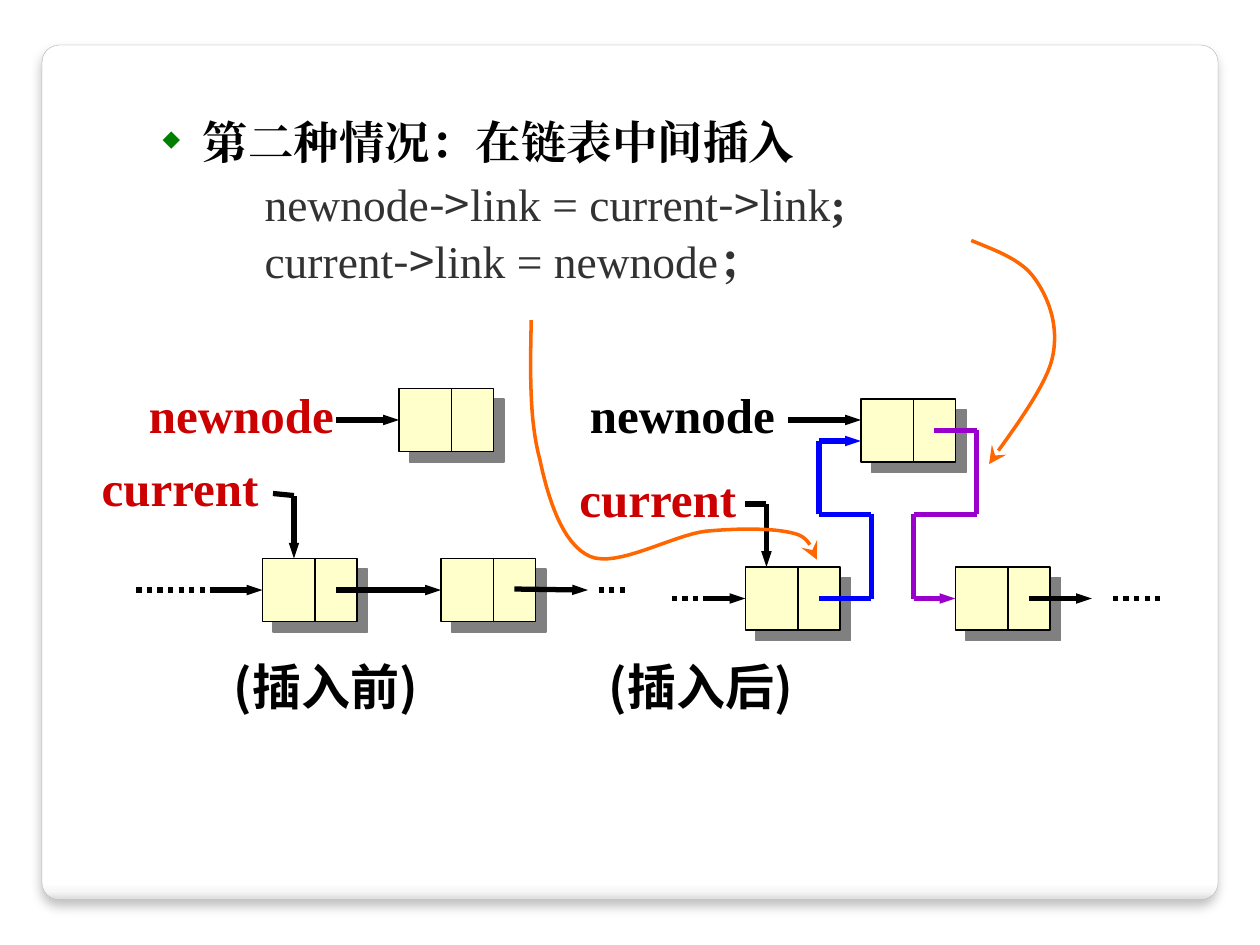
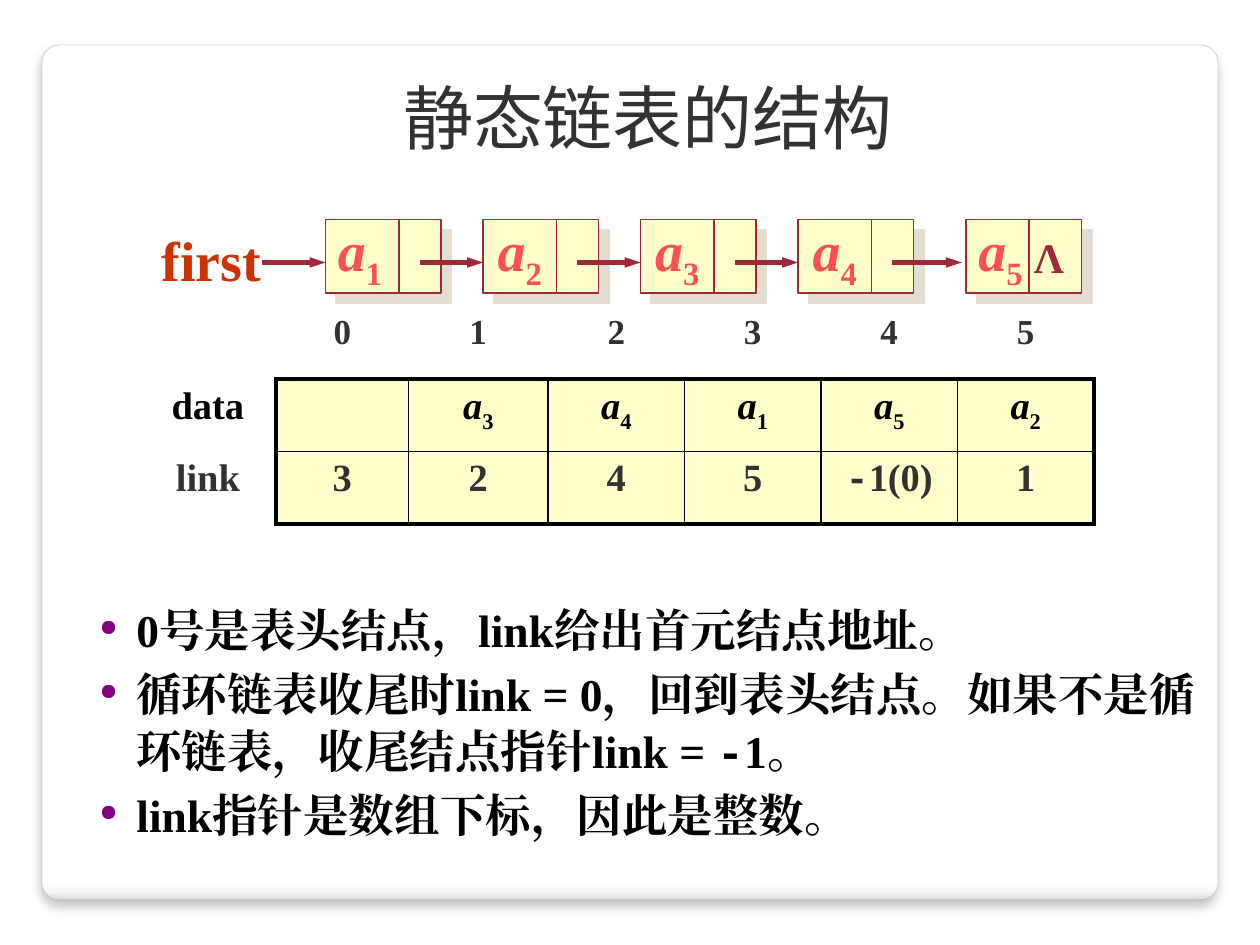
from dataclasses import dataclass
from typing import NamedTuple

from lxml import etree
from pptx import Presentation
from pptx.dml.color import RGBColor
from pptx.enum.dml import MSO_LINE
from pptx.enum.shapes import MSO_CONNECTOR, MSO_SHAPE
from pptx.enum.text import MSO_ANCHOR, PP_ALIGN
from pptx.oxml.ns import qn
from pptx.util import Emu, Pt

PX = 7620  # EMU in one px, 120 px to the inch

RECT, ROUND_RECT = MSO_SHAPE.RECTANGLE, MSO_SHAPE.ROUNDED_RECTANGLE
STRAIGHT = MSO_CONNECTOR.STRAIGHT
DOTTED = MSO_LINE.ROUND_DOT
LEFT, CENTER = PP_ALIGN.LEFT, PP_ALIGN.CENTER
TOP, BOTTOM = MSO_ANCHOR.TOP, MSO_ANCHOR.BOTTOM
LEFT_SIDE = 1

BLACK = RGBColor(0x00, 0x00, 0x00)
INK = RGBColor(0x32, 0x32, 0x32)
RED = RGBColor(0xCC, 0x00, 0x00)
RUST = RGBColor(0xCC, 0x33, 0x00)
CORAL = RGBColor(0xFF, 0x50, 0x50)
MAROON = RGBColor(0x9F, 0x29, 0x36)
BLUE = RGBColor(0x00, 0x00, 0xFF)
VIOLET = RGBColor(0x99, 0x00, 0xCC)
PURPLE = RGBColor(0x80, 0x00, 0x80)
ORANGE = RGBColor(0xFF, 0x66, 0x00)
GREEN = RGBColor(0x00, 0x80, 0x00)
GRAY = RGBColor(0x80, 0x80, 0x80)
BEIGE = RGBColor(0xE3, 0xDE, 0xD1)
CREAM = RGBColor(0xFF, 0xFF, 0xCC)
EDGE = RGBColor(0xA4, 0xA4, 0xA4)
PANEL_STOPS = ((0, "FFFFFF"), (98, "FFFFFF"), (99, "F7F7F7"), (100, "DADADA"))

SERIF, SANS = "Times New Roman", "DejaVu Sans"
CJK, MONO = "Noto Sans CJK SC", "Courier New"
BODY_LINE = Pt(32.6)


class Run(NamedTuple):
    text: str
    style: dict = {}


@dataclass
class Para:
    runs: list
    bullet: str = ""
    bullet_color: RGBColor = BLACK
    margin: int = 0
    indent: int = 0
    before: float = 0


@dataclass
class Node:
    x: int
    y: int
    w: int
    h: int
    split: int


def px(n: float) -> Emu:
    return Emu(round(n * PX))


def child(parent, tag: str, **attrs):
    return etree.SubElement(parent, qn(tag), {k: str(v) for k, v in attrs.items()})


# ---- text ----
def add_run(p, text: str, *, size: float, color=BLACK, font=SERIF, bold=False,
            italic=False, sub=False) -> None:
    r = p.add_run()
    r.text = text
    f = r.font
    f.size, f.bold, f.italic, f.name = Pt(size), bold, italic, font
    f.color.rgb = color
    rPr = r._r.get_or_add_rPr()
    child(rPr, "a:ea", typeface=font)
    if sub:
        rPr.set("baseline", "-25000")


def add_runs(p, runs: list, **style) -> None:
    for run in runs:
        add_run(p, run.text, **{**style, **run.style})


def add_box(slide, x, y, w, h, *, wrap=False, anchor=TOP, insets=(12, 6, 12, 6)):
    tf = slide.shapes.add_textbox(px(x), px(y), px(w), px(h)).text_frame
    tf.word_wrap, tf.vertical_anchor = wrap, anchor
    tf.margin_left, tf.margin_top, tf.margin_right, tf.margin_bottom = map(px, insets)
    return tf


def add_label(slide, x, y, w, h, runs: list, *, align=LEFT, anchor=TOP, **style) -> None:
    p = add_box(slide, x, y, w, h, anchor=anchor).paragraphs[0]
    p.alignment = align
    add_runs(p, runs, **style)


def add_body(slide, x, y, w, h, paras: list) -> None:
    tf = add_box(slide, x, y, w, h, wrap=True, insets=(24, 12, 12, 6))
    for i, para in enumerate(paras):
        p = tf.add_paragraph() if i else tf.paragraphs[0]
        pPr = p._p.get_or_add_pPr()
        pPr.set("marL", str(px(para.margin)))
        pPr.set("indent", str(px(para.indent)))
        if para.bullet:
            child(child(pPr, "a:buClr"), "a:srgbClr", val=para.bullet_color)
            child(pPr, "a:buSzPct", val=50000)
            child(pPr, "a:buChar", char=para.bullet)
        p.line_spacing = BODY_LINE
        if para.before:
            p.space_before = Pt(para.before)
        add_runs(p, para.runs, size=26, bold=True)


def indexed(n: str) -> list:
    return [Run("a", {"italic": True}), Run(n, {"sub": True})]


# ---- shapes and lines ----
def add_shadow(sp, color, alpha: int, blur: float, dist: float, angle: int) -> None:
    sp.shadow.inherit = False
    effects = sp._element.spPr.find(qn("a:effectLst"))
    shadow = child(effects, "a:outerShdw", blurRad=Pt(blur), dist=Pt(dist),
                   dir=angle * 60000, algn="ctr", rotWithShape=0)
    child(child(shadow, "a:srgbClr", val=color), "a:alpha", val=alpha * 1000)


def add_head(shape, kind: str, w: str, length: str) -> None:
    child(shape.line._get_or_add_ln(), "a:tailEnd", type=kind, w=w, len=length)


def add_line(slide, start, end, *, color=BLACK, width=3.0, arrow=False, dotted=False,
             end_to=None) -> None:
    c = slide.shapes.add_connector(STRAIGHT, *map(px, (*start, *end)))
    c.line.color.rgb, c.line.width = color, Pt(width)
    if dotted:
        c.line.dash_style = DOTTED
    if arrow:
        add_head(c, "triangle", "sm", "med")
    child(c._element.spPr, "a:effectLst")
    if end_to is not None:
        c.end_connect(end_to, LEFT_SIDE)


def add_route(slide, points: list, *, color=BLACK, end_to=None) -> None:
    last = len(points) - 2
    for i, (start, end) in enumerate(zip(points, points[1:])):
        add_line(slide, start, end, color=color, arrow=i == last,
                 end_to=end_to if i == last else None)


def add_curve(slide, points: list, steps: int = 16) -> None:
    path = []
    for i in range(0, len(points) - 1, 3):
        for t in (k / steps for k in range(1, steps + 1)):
            weights = ((1 - t) ** 3, 3 * t * (1 - t) ** 2, 3 * t * t * (1 - t), t ** 3)
            path.append(tuple(px(sum(w * q[axis] for w, q in zip(weights, points[i:i + 4])))
                              for axis in (0, 1)))
    builder = slide.shapes.build_freeform(*map(px, points[0]))
    builder.add_line_segments(path, close=False)
    sp = builder.convert_to_shape()
    sp.shadow.inherit = False
    sp.fill.background()
    sp.line.color.rgb, sp.line.width = ORANGE, Pt(2)
    add_head(sp, "stealth", "lg", "lg")


def add_node(slide, node: Node, color=BLACK, shadow=GRAY):
    sp = slide.shapes.add_shape(RECT, px(node.x), px(node.y), px(node.w), px(node.h))
    sp.fill.solid()
    sp.fill.fore_color.rgb = CREAM
    sp.line.color.rgb, sp.line.width = color, Pt(0.75)
    add_shadow(sp, shadow, 100, 0, 8.5, 45)
    x = node.x + node.split
    add_line(slide, (x, node.y), (x, node.y + node.h), color=color, width=0.75)
    return sp


def new_slide(prs):
    slide = prs.slides.add_slide(prs.slide_layouts[6])
    sp = slide.shapes.add_shape(ROUND_RECT, px(40), px(43), px(1120), px(814))
    sp.adjustments[0] = 0.02
    sp.fill.gradient()
    sp.fill.gradient_angle = 270
    stops = sp._element.spPr.find(".//" + qn("a:gsLst"))
    stops.clear()
    for pos, color in PANEL_STOPS:
        child(child(stops, "a:gs", pos=pos * 1000), "a:srgbClr", val=color)
    sp.line.color.rgb, sp.line.width = EDGE, Pt(0.16)
    add_shadow(sp, BLACK, 25, 6, 4, 90)
    return slide


# ---- slide 1: insertion in the middle ----
def build_insertion(prs) -> None:
    slide = new_slide(prs)
    plain = {"color": INK, "bold": False}
    arrow = Run("->", {**plain, "font": CJK})
    add_body(slide, 85, 94, 1130, 710, [
        Para([Run("第二种情况：在链表中间插入")], "◆", GREEN, 84, -38),
        Para([Run("newnode", plain), arrow, Run("link = current", plain), arrow,
              Run("link", plain), Run(";", {"color": INK})], margin=143, before=3),
        Para([Run("current", plain), arrow, Run("link = newnode", plain),
              Run("；", {"color": INK})], margin=143),
    ])
    for x, text in ((211, "(插入前)"), (568, "(插入后)")):
        add_label(slide, x, 619, 230, 71, [Run(text)], size=28, font=CJK, bold=True,)

    # nodes before, then after
    fresh, first, second, fresh_after, first_after, second_after = (
        add_node(slide, Node(x, y, 90, 60, 50)) for x, y in
        ((380, 370), (250, 532), (420, 532), (820, 380), (710, 540), (910, 540)))
    for x, y, w, text, color in ((130, 360, 200, "newnode", RED), (85, 430, 174, "current", RED),
                                 (550, 360, 200, "newnode", BLACK),
                                 (540, 440, 174, "current", RED)):
        add_label(slide, x, y, w, 68, [Run(text)], size=28, color=color, bold=True)

    # pointers
    for start, end, target in (
            ((320, 400), (380, 400), fresh), ((200, 562), (250, 562), first),
            ((320, 562), (420, 562), second), ((490, 561), (560, 562), None),
            ((980, 570), (1040, 570), None), ((750, 400), (820, 400), None),
            ((670, 570), (710, 570), first_after)):
        add_line(slide, start, end, arrow=True, end_to=target)
    for x1, x2, y in ((570, 600, 562), (130, 200, 562), (1060, 1110, 570), (640, 670, 570)):
        add_line(slide, (x1, y), (x2, y), dotted=True)
    add_route(slide, [(260, 470), (280, 472), (280, 532)])
    add_route(slide, [(710, 480), (730, 480), (730, 540)])
    add_route(slide, [(890, 410), (930, 410), (930, 490), (870, 490), (870, 570), (910, 570)],
              color=VIOLET, end_to=second_after)
    add_route(slide, [(780, 570), (830, 570), (830, 490), (780, 490), (780, 420), (820, 420)],
              color=BLUE)

    # links from each statement to its pointer
    add_curve(slide, [(925, 229), (949, 239), (973, 247), (986, 266), (1000, 286),
                      (1009, 313), (1002, 342), (995, 372), (953, 425), (942, 442)])
    add_curve(slide, [(506, 305), (505, 352), (504, 400), (514, 437), (522, 474), (535, 518),
                      (562, 530), (588, 541), (640, 510), (672, 506), (704, 503), (738, 503),
                      (756, 508), (774, 512), (774, 529), (778, 533)])


# ---- slide 2: static linked list ----
def set_borders(cell, widths: dict) -> None:
    tcPr = cell._tc.get_or_add_tcPr()
    for i, (side, width) in enumerate(widths.items()):
        ln = etree.Element(qn("a:ln" + side), w=str(Pt(width)))
        if width:
            child(child(ln, "a:solidFill"), "a:srgbClr", val=BLACK)
        else:
            child(ln, "a:noFill")
        tcPr.insert(i, ln)


def add_storage_table(slide) -> None:
    columns = (130, 126, 133, 130, 130, 130, 130)
    rows = [
        [[]] + [[Run(str(n))] for n in range(6)],
        [[Run("data")], []] + [indexed(n) for n in "34152"],
        [[Run(t)] for t in ("link", "3", "2", "4", "5")]
        + [[Run("-", {"font": MONO}), Run("1(0)")], [Run("1")]],
    ]
    styles = ((20, INK), (22, BLACK), (22, INK))
    table = slide.shapes.add_table(3, 7, px(133), px(292), px(909), px(207)).table
    table.first_row = table.horz_banding = False
    for j, w in enumerate(columns):
        table.columns[j].width = px(w)

    def across(i: int, j: int) -> float:
        return (0, 2.25, 1, 2.25)[i] if j else 0

    def down(i: int, j: int) -> float:
        return (0, 2.25, 1, 1, 1, 1, 1, 2.25)[j] if i else 0

    for i, (row, (size, color)) in enumerate(zip(rows, styles)):
        table.rows[i].height = px(69)
        for j, runs in enumerate(row):
            cell = table.cell(i, j)
            if i and j:
                cell.fill.solid()
                cell.fill.fore_color.rgb = CREAM
            else:
                cell.fill.background()
            set_borders(cell, {"L": down(i, j), "R": down(i, j + 1),
                               "T": across(i, j), "B": across(i + 1, j)})
            p = cell.text_frame.paragraphs[0]
            p.alignment = CENTER
            add_runs(p, runs, size=size, color=color, bold=True)


def build_static_list(prs) -> None:
    slide = new_slide(prs)
    add_label(slide, 80, 53, 1074, 104, [Run("静态链表的结构")], align=CENTER, anchor=BOTTOM,
              size=40, color=INK, font=SANS)
    bullet = {"bullet": "●", "bullet_color": PURPLE, "margin": 35, "indent": -35}
    add_body(slide, 71, 559, 1080, 307, [
        Para([Run("0号是表头结点，link给出首元结点地址。")], **bullet),
        Para([Run("循环链表收尾时link = 0，回到表头结点。如果不是循环链表，收尾结点指针link = "),
              Run("-", {"font": MONO}), Run("1。")], before=4, **bullet),
        Para([Run("link指针是数组下标，因此是整数。")], before=4, **bullet),
    ])

    # chain of nodes
    nodes = [Node(x, 209, 110, 70, 70) for x in range(310, 761, 150)]
    nodes.append(Node(920, 209, 110, 70, 60))
    for node in nodes:
        add_node(slide, node, MAROON, BEIGE)
    for i, node in enumerate(nodes):
        tip = node.x if i < 4 else node.x - 4
        add_line(slide, (250 + 150 * i, 250), (tip, 250), color=MAROON, arrow=True)
        nudge = 2 if 0 < i < 4 else 0
        add_label(slide, node.x + nudge, 199, 68, 76, indexed(str(i + 1)), size=32,
                  color=CORAL, bold=True)
    add_label(slide, 973, 215, 65, 60, [Run("Λ")], size=24, color=MAROON, bold=True)
    add_label(slide, 142, 209, 119, 76, [Run("first")], size=32, color=RUST, bold=True)
    add_storage_table(slide)


def main() -> None:
    prs = Presentation()
    prs.slide_width, prs.slide_height = px(1200), px(900)
    build_insertion(prs)
    build_static_list(prs)
    prs.save("out.pptx")


if __name__ == "__main__":
    main()
